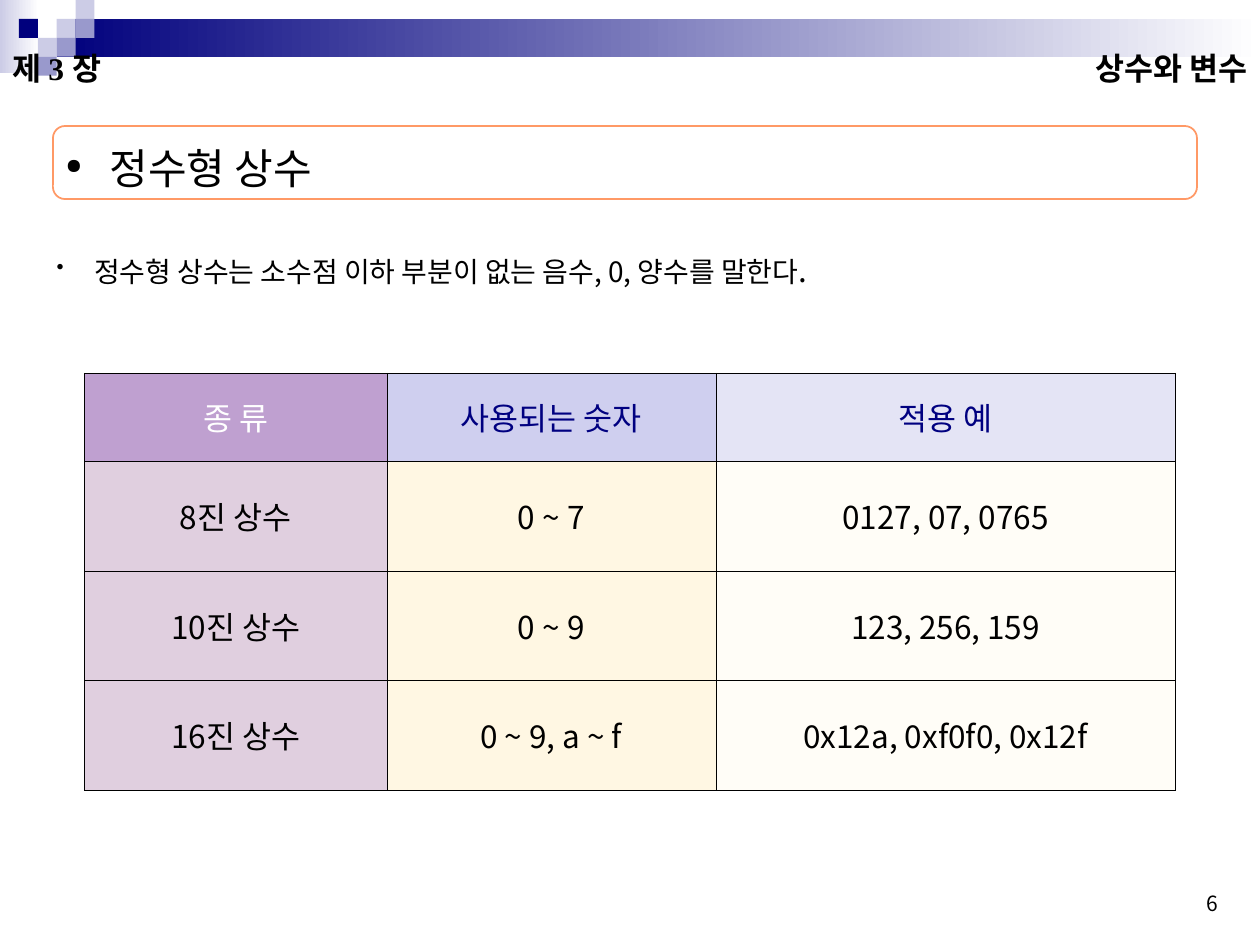
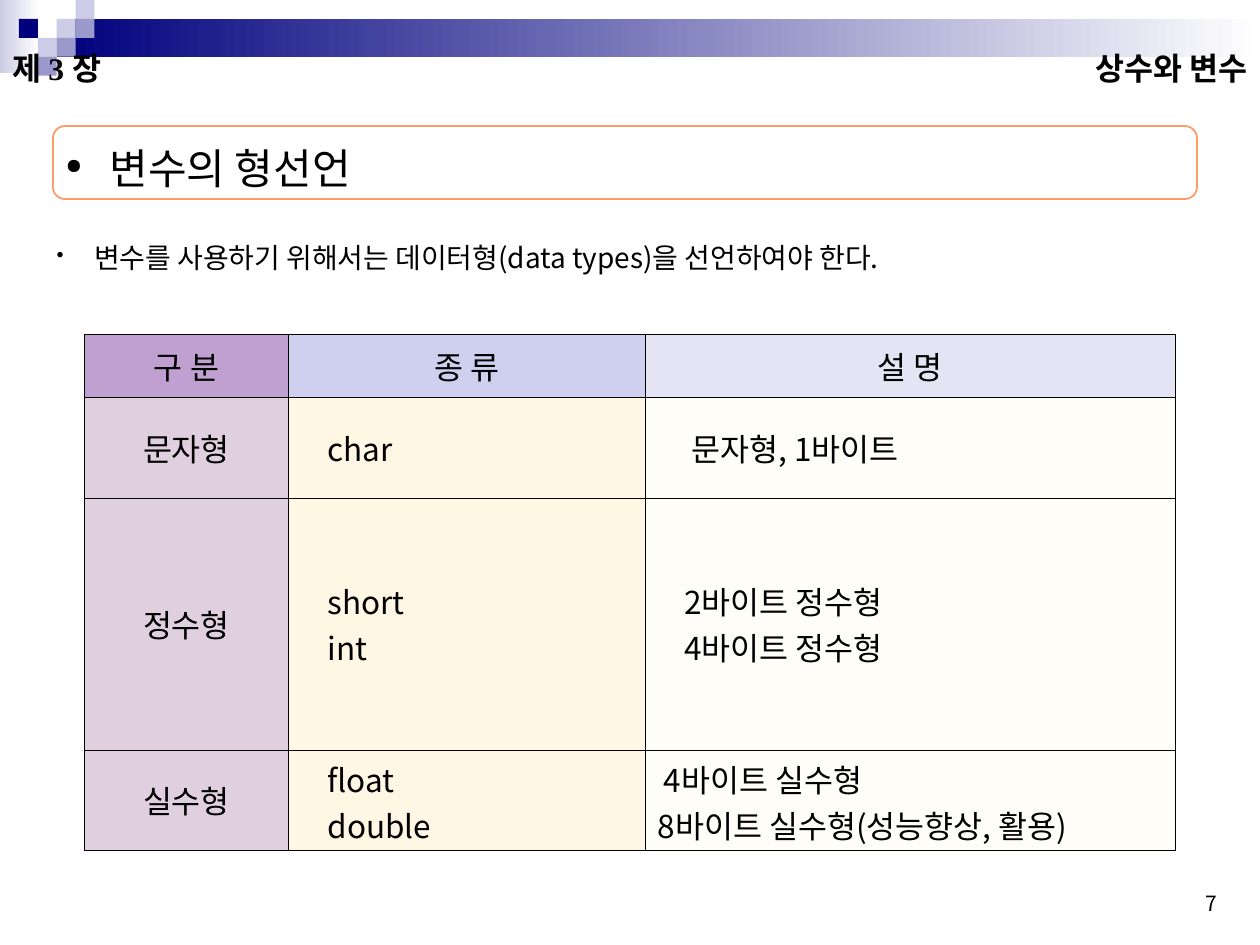
from lxml.etree import SubElement
from pptx import Presentation
from pptx.dml.color import RGBColor
from pptx.enum.shapes import MSO_SHAPE
from pptx.enum.text import MSO_ANCHOR, MSO_AUTO_SIZE, PP_ALIGN
from pptx.oxml.ns import qn
from pptx.util import Inches, Pt

SANS, SERIF = "Noto Sans CJK KR", "Times New Roman"
HUES = {"navy": "00007D", "mid": "9999CC", "light": "CCCCE6", "white": "FFFFFF",
        "black": "000000", "frame": "FF9966", "ink": "000080"}
HEAD = ("BFA0D0", "CFCFEF", "E4E4F5")
BODY = ("E0CFDF", "FFF7E3", "FFFDF7")

# Corner squares: column, row, colour
STEP = 0.15
TILES = [(3, 1, "light"), (4, 0, "light"), (4, 1, "mid"), (2, 2, "light"),
         (1, 1, "navy"), (3, 2, "mid"), (2, 3, "mid")]

# A cell is a centred string, or a list of (indent, line) set from the left
PAGES = [
    {"no": "6", "no_box": (7.44, 6.82, 2.33, 0.5),
     "title": "정수형 상수",
     "lead": [("정수형 상수는 소수점 이하 부분이 없는 음수, 0, 양수를 말한다", 16), (".", 18)],
     "lead_box": (0.35, 1.94, 9.25, 0.4),
     "top": 2.96, "cols": (2.4, 2.61, 3.65), "rows": (0.7, 0.87, 0.87, 0.87),
     "inks": ("white", "ink", "ink"),
     "cells": [("종 류", "사용되는 숫자", "적용 예"),
               ("8진 상수", "0 ~ 7", "0127, 07, 0765"),
               ("10진 상수", "0 ~ 9", "123, 256, 159"),
               ("16진 상수", "0 ~ 9, a ~ f", "0x12a, 0xf0f0, 0x12f")]},
    {"no": "7", "no_box": (7.28, 6.82, 2.48, 0.5),
     "title": "변수의 형선언",
     "lead": [("변수를 사용하기 위해서는 데이터형(data types)을 선언하여야 한다.", 16)],
     "lead_box": (0.35, 1.86, 9.31, 0.37),
     "top": 2.65, "cols": (1.62, 2.83, 4.21), "rows": (0.5, 0.8, 2, 0.8),
     "inks": ("black", "black", "black"),
     "cells": [("구 분", "종 류", "설 명"),
               ("문자형", [(0.21, "char")], [(0.27, "문자형, 1바이트")]),
               ("정수형", [(0.21, "short"), (0.21, "int")],
                [(0.21, "2바이트 정수형"), (0.21, "4바이트 정수형")]),
               ("실수형", [(0.21, "float"), (0.21, "double")],
                [(0.05, "4바이트 실수형"), (0, "8바이트 실수형(성능향상, 활용)")])]},
]


def rgb(hue):
    return RGBColor.from_string(HUES.get(hue, hue))


def inch(box):
    return [Inches(v) for v in box]


def style(para, size, align=PP_ALIGN.LEFT, hue="black", face=SANS, bold=False):
    para.alignment = align
    font = para.font
    font.name, font.size, font.bold = face, Pt(size), bold
    font.color.rgb = rgb(hue)
    props = para._p.get_or_add_pPr().find(qn("a:defRPr"))
    SubElement(props, qn("a:ea")).set("typeface", SANS)


def indent(para, left, first=0):
    props = para._p.get_or_add_pPr()
    props.set("marL", str(Inches(left)))
    props.set("indent", str(Inches(first)))
    return props


def bullet(para, mark, scale, left):
    props = indent(para, left, -left)
    hue = SubElement(props, qn("a:buClr"))
    SubElement(hue, qn("a:srgbClr")).set("val", HUES["black"])
    SubElement(props, qn("a:buSzPct")).set("val", str(scale * 1000))
    SubElement(props, qn("a:buChar")).set("char", mark)


def rect(slide, box, *hues):
    shape = slide.shapes.add_shape(MSO_SHAPE.RECTANGLE, *inch(box))
    shape.shadow.inherit = False
    shape.line.fill.background()
    if len(hues) == 1:
        shape.fill.solid()
        shape.fill.fore_color.rgb = rgb(hues[0])
    else:
        shape.fill.gradient()
        shape.fill.gradient_angle = 0
        for stop, hue in zip(shape.fill.gradient_stops, hues):
            stop.color.rgb = rgb(hue)


def label(slide, box, anchor, runs):
    frame = slide.shapes.add_textbox(*inch(box)).text_frame
    frame.word_wrap = True
    frame.vertical_anchor = anchor
    para = frame.paragraphs[0]
    for text in runs:
        para.add_run().text = text
    return para


def band(slide):
    """Top band, corner squares and running heads."""
    rect(slide, (0, 0, 0.31, 0.58), "light", "white")
    rect(slide, (0.45, 0.15, 9.55, 0.3), "navy", "white")
    for col, row, hue in TILES:
        rect(slide, (col * STEP, row * STEP, STEP, STEP), hue)
    for box, text, align in [((6.5, 0.25, 3.5, 0.58), "상수와 변수", PP_ALIGN.RIGHT),
                             ((0, 0.25, 2.17, 0.58), "제 3 장", PP_ALIGN.LEFT)]:
        para = label(slide, box, MSO_ANCHOR.MIDDLE, [text])
        style(para, 18, align, face=SERIF, bold=True)


def head(slide, text):
    """Framed title."""
    box = inch((0.42, 1, 9.08, 0.58))
    frame = slide.shapes.add_shape(MSO_SHAPE.ROUNDED_RECTANGLE, *box)
    frame.shadow.inherit = False
    frame.fill.background()
    frame.line.color.rgb = rgb("frame")
    frame.line.width = Pt(1)
    title = slide.shapes.title
    title.left, title.top, title.width, title.height = box
    body = title.text_frame
    body.text = text
    body.auto_size = MSO_AUTO_SIZE.NONE
    body.vertical_anchor = MSO_ANCHOR.MIDDLE
    para = body.paragraphs[0]
    bullet(para, "●", 50, 0.35)
    para.line_spacing, para.space_before = 1.2, Pt(15)
    style(para, 24)


def lead(slide, box, runs):
    para = label(slide, box, MSO_ANCHOR.TOP, [text for text, _ in runs])
    bullet(para, "•", 75, 0.3)
    style(para, runs[0][1], PP_ALIGN.JUSTIFY)
    for run, (_, size) in zip(para.runs[1:], runs[1:]):
        run.font.size = Pt(size)


def edge(cell):
    props = cell._tc.get_or_add_tcPr()
    for side in ("lnL", "lnR", "lnT", "lnB"):
        line = SubElement(props, qn("a:" + side))
        line.set("w", str(Pt(0.06)))
        fill = SubElement(line, qn("a:solidFill"))
        SubElement(fill, qn("a:srgbClr")).set("val", HUES["black"])


def fill_cell(cell, item, back, hue):
    edge(cell)
    cell.fill.solid()
    cell.fill.fore_color.rgb = rgb(back)
    cell.vertical_anchor = MSO_ANCHOR.MIDDLE
    mid = isinstance(item, str)
    lines = [(0, item)] if mid else item
    cell.text_frame.text = "\n".join(text for _, text in lines)
    for para, (left, _) in zip(cell.text_frame.paragraphs, lines):
        indent(para, left)
        style(para, 18, PP_ALIGN.CENTER if mid else PP_ALIGN.JUSTIFY, hue)


def grid(slide, page):
    cols, rows = page["cols"], page["rows"]
    box = inch((0.67, page["top"], sum(cols), sum(rows)))
    table = slide.shapes.add_table(len(rows), len(cols), *box).table
    table.first_row = table.horz_banding = False
    for col, width in zip(table.columns, cols):
        col.width = Inches(width)
    for r, (height, items) in enumerate(zip(rows, page["cells"])):
        table.rows[r].height = Inches(height)
        for c, item in enumerate(items):
            back = BODY[c] if r else HEAD[c]
            hue = "black" if r else page["inks"][c]
            fill_cell(table.cell(r, c), item, back, hue)


deck = Presentation()
deck.slide_width, deck.slide_height = Inches(10), Inches(7.5)
for page in PAGES:
    slide = deck.slides.add_slide(deck.slide_layouts[5])
    band(slide)
    head(slide, page["title"])
    lead(slide, page["lead_box"], page["lead"])
    grid(slide, page)
    # Page number
    style(label(slide, page["no_box"], MSO_ANCHOR.BOTTOM, [page["no"]]), 12, PP_ALIGN.RIGHT)
deck.save("out.pptx")
